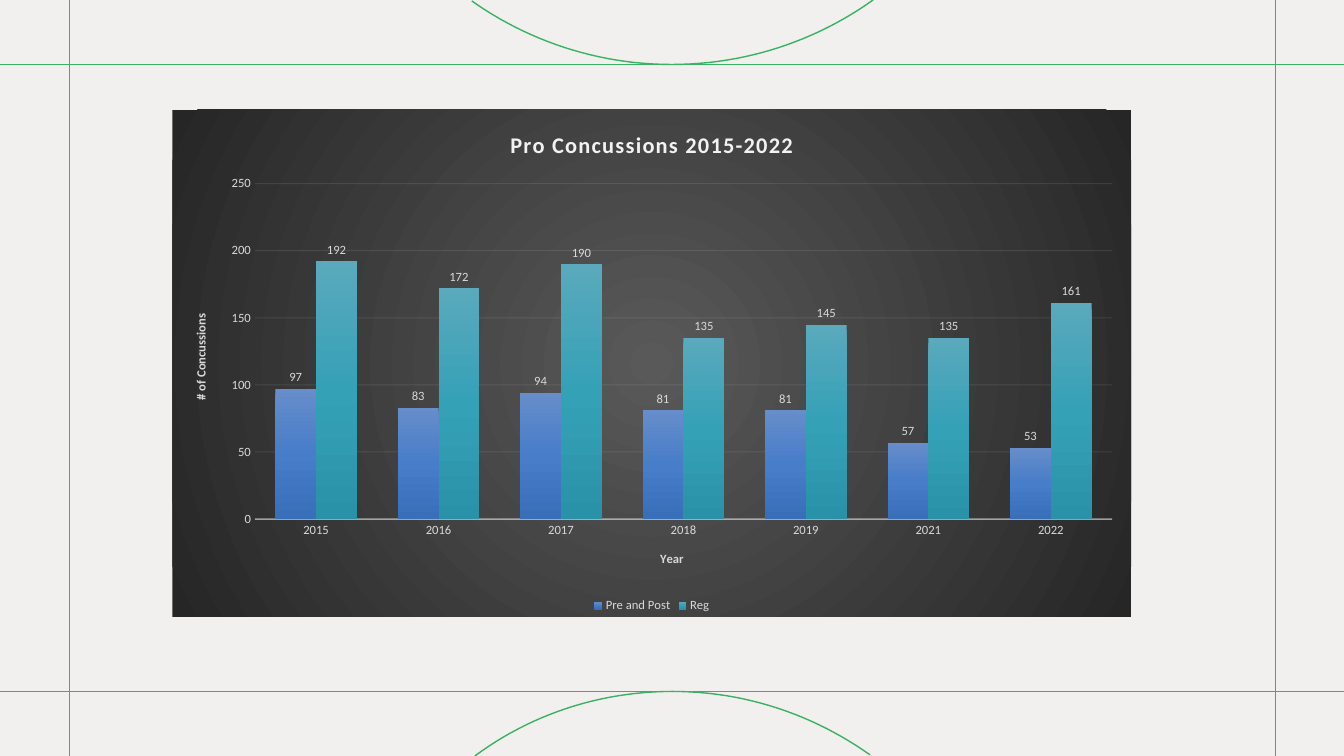
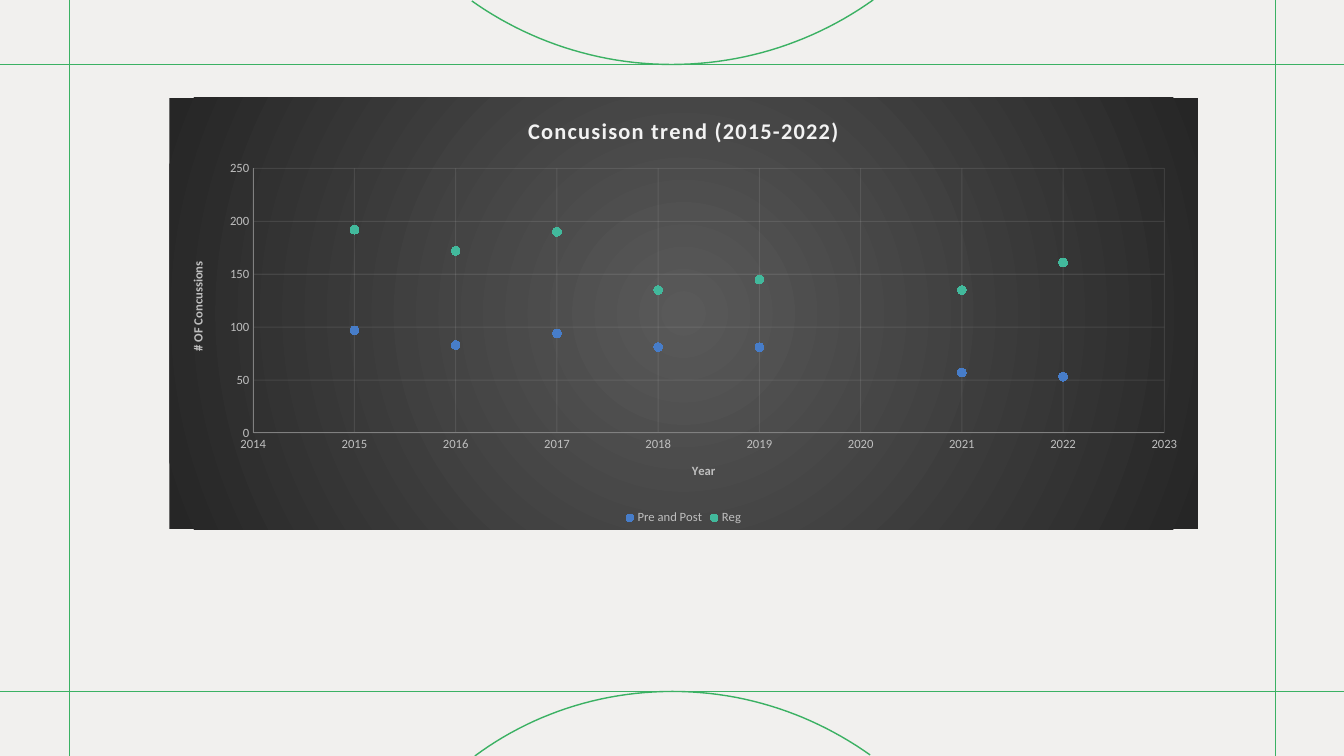
from lxml.etree import SubElement
from pptx import Presentation
from pptx.chart.data import CategoryChartData, XyChartData
from pptx.dml.color import RGBColor
from pptx.enum.chart import XL_CHART_TYPE, XL_LABEL_POSITION, XL_LEGEND_POSITION, XL_MARKER_STYLE, XL_TICK_MARK
from pptx.enum.shapes import MSO_CONNECTOR
from pptx.oxml import parse_xml
from pptx.oxml.ns import nsdecls, qn
from pptx.util import Inches, Pt

FONT = "Calibri"
PAPER = "F1F0EE"
GREEN = "3BB163"
PALE = "F2F2F2"
PAGE_WIDTH, PAGE_HEIGHT = 13.33, 7.5
TOP_RULE, BOTTOM_RULE = 0.64, 6.86
LEFT_RULE, RIGHT_RULE = 0.69, 12.65
TOP_ARC = [(4.68, 0.01), (5.23, 0.4), (5.92, 0.64), (6.66, 0.64), (7.41, 0.64), (8.1, 0.4), (8.66, 0)]
BOTTOM_ARC = [(8.63, 7.49), (8.08, 7.1), (7.41, 6.86), (6.67, 6.86), (5.93, 6.86), (5.25, 7.1), (4.71, 7.5)]

YEARS = [2015, 2016, 2017, 2018, 2019, 2021, 2022]
CONCUSSIONS = {
    "Pre and Post": [97, 83, 94, 81, 81, 57, 53],
    "Reg": [192, 172, 190, 135, 145, 135, 161],
}
CHART_BACKDROP = [(0, "595959"), (100, "262626")]
BAR_GRADIENTS = [
    [(0, "678DCA"), (50, "477DC9"), (100, "396EB9")],
    [(0, "5AA9BC"), (50, "35A1B7"), (100, "2A92A8")],
]
MARKER_COLORS = ["477DC9", "42B99C"]
RADIAL = '<a:path path="circle"><a:fillToRect l="50000" t="50000" r="50000" b="50000"/></a:path>'
DOWNWARD = '<a:lin ang="5400000" scaled="0"/>'


def rgb(value):
    return RGBColor.from_string(value)


def style_font(font, size, color, **extras):
    for name, value in {"name": FONT, "size": Pt(size), **extras}.items():
        setattr(font, name, value)
    font.color.rgb = rgb(color)


def style_line(line, color, width, opacity=100):
    line.color.rgb = rgb(color)
    line.width = Pt(width)
    if opacity < 100:
        swatch = line._get_or_add_ln().find(".//" + qn("a:srgbClr"))
        SubElement(swatch, qn("a:alpha")).set("val", str(opacity * 1000))


def gradient(stops, direction):
    marks = "".join(
        f'<a:gs pos="{position * 1000}"><a:srgbClr val="{color}"/></a:gs>' for position, color in stops
    )
    return f'<a:gradFill {nsdecls("a")} rotWithShape="1"><a:gsLst>{marks}</a:gsLst>{direction}</a:gradFill>'


def add_rule(page, start, end):
    rule = page.shapes.add_connector(MSO_CONNECTOR.STRAIGHT, *map(Inches, start + end))
    style_line(rule.line, GREEN, 1)
    SubElement(rule._element.spPr, qn("a:effectLst"))


def curve_points(controls, steps=24):
    for first in range(0, len(controls) - 1, 3):
        segment = controls[first:first + 4]
        for step in range(steps + 1):
            t = step / steps
            weights = [(1 - t) ** 3, 3 * t * (1 - t) ** 2, 3 * t ** 2 * (1 - t), t ** 3]
            yield tuple(
                Inches(sum(weight * point[axis] for weight, point in zip(weights, segment)))
                for axis in (0, 1)
            )


def add_arc(page, controls):
    points = list(curve_points(controls))
    builder = page.shapes.build_freeform(*points[0])
    builder.add_line_segments(points[1:], close=False)
    arc = builder.convert_to_shape()
    arc.shadow.inherit = False
    arc.fill.background()
    style_line(arc.line, GREEN, 1)


def add_court_page(deck):
    page = deck.slides.add_slide(deck.slide_layouts[6])
    for height in (BOTTOM_RULE, TOP_RULE):
        add_rule(page, (0, height), (PAGE_WIDTH, height))
    for across in (RIGHT_RULE, LEFT_RULE):
        add_rule(page, (across, PAGE_HEIGHT), (across, 0))
    for controls in (TOP_ARC, BOTTOM_ARC):
        add_arc(page, controls)
    return page


def write_title(title, text, size, color):
    para = title.text_frame.paragraphs[0]
    span = para.add_run()
    span.text = text
    style_font(span.font, size, color, bold=True)
    return span


def style_axis(axis, title, color):
    axis.has_title = True
    write_title(axis.axis_title, title, 9, color)
    for name in ("major_tick_mark", "minor_tick_mark"):
        setattr(axis, name, XL_TICK_MARK.NONE)
    style_font(axis.tick_labels.font, 9, color)


def add_gridlines(axis):
    axis.has_major_gridlines = True
    style_line(axis.major_gridlines.format.line, PALE, 0.75, 10)


def set_scale(axis, low, high, unit):
    for name, value in {"minimum_scale": low, "maximum_scale": high, "major_unit": unit}.items():
        setattr(axis, name, value)


def add_dark_chart(page, kind, place, data, title, axis_titles, color):
    chart = page.shapes.add_chart(kind, *map(Inches, place), data).chart
    style_font(chart.font, 10, "000000")
    chart.has_title = True
    span = write_title(chart.chart_title, title, 16, PALE)
    span._r.get_or_add_rPr().set("spc", "100")
    chart.has_legend = True
    chart.legend.position = XL_LEGEND_POSITION.BOTTOM
    chart.legend.include_in_layout = False
    style_font(chart.legend.font, 9, color)
    chart.plots[0].vary_by_categories = False
    for axis, axis_title in zip((chart.category_axis, chart.value_axis), axis_titles):
        style_axis(axis, axis_title, color)
    add_gridlines(chart.value_axis)
    set_scale(chart.value_axis, 0, 250, 50)
    backdrop = f'<c:spPr {nsdecls("c", "a")}>{gradient(CHART_BACKDROP, RADIAL)}<a:ln><a:noFill/></a:ln></c:spPr>'
    chart.element.find(qn("c:chart")).addnext(parse_xml(backdrop))
    return chart


def add_column_chart(page):
    color = "D9D9D9"
    data = CategoryChartData()
    data.categories = [str(year) for year in YEARS]
    for name, counts in CONCUSSIONS.items():
        data.add_series(name, counts)
    chart = add_dark_chart(
        page, XL_CHART_TYPE.COLUMN_CLUSTERED, (1.71, 1.09, 9.51, 5.03), data,
        "Pro Concussions 2015-2022", ("Year", "# of Concussions"), color,
    )
    style_line(chart.category_axis.format.line, PALE, 1, 54)
    chart.value_axis.format.line.fill.background()
    plot = chart.plots[0]
    plot.gap_width = 100
    plot.overlap = 0
    for series, stops in zip(plot.series, BAR_GRADIENTS):
        series._element.get_or_add_spPr().append(parse_xml(gradient(stops, DOWNWARD)))
        labels = series.data_labels
        labels.show_value = True
        labels.position = XL_LABEL_POSITION.OUTSIDE_END
        style_font(labels.font, 9, color)


def add_scatter_chart(page):
    data = XyChartData()
    for name, counts in CONCUSSIONS.items():
        series = data.add_series(name)
        for year, count in zip(YEARS, counts):
            series.add_data_point(year, count)
    chart = add_dark_chart(
        page, XL_CHART_TYPE.XY_SCATTER, (1.68, 0.97, 10.2, 4.28), data,
        "Concusison trend (2015-2022)", ("Year", "# OF Concussions"), "BFBFBF",
    )
    add_gridlines(chart.category_axis)
    set_scale(chart.category_axis, 2014, 2023, 1)
    for axis in (chart.category_axis, chart.value_axis):
        style_line(axis.format.line, "808080", 0.75)
    for series, color in zip(chart.plots[0].series, MARKER_COLORS):
        series.format.line.fill.background()
        marker = series.marker
        marker.style = XL_MARKER_STYLE.CIRCLE
        marker.size = 6
        marker.format.fill.solid()
        marker.format.fill.fore_color.rgb = rgb(color)
        style_line(marker.format.line, color, 0.75)


def main():
    deck = Presentation()
    deck.slide_width = Inches(PAGE_WIDTH)
    deck.slide_height = Inches(PAGE_HEIGHT)
    backdrop = deck.slide_master.background.fill
    backdrop.solid()
    backdrop.fore_color.rgb = rgb(PAPER)
    for add_chart in (add_column_chart, add_scatter_chart):
        add_chart(add_court_page(deck))
    deck.save("out.pptx")


if __name__ == "__main__":
    main()
